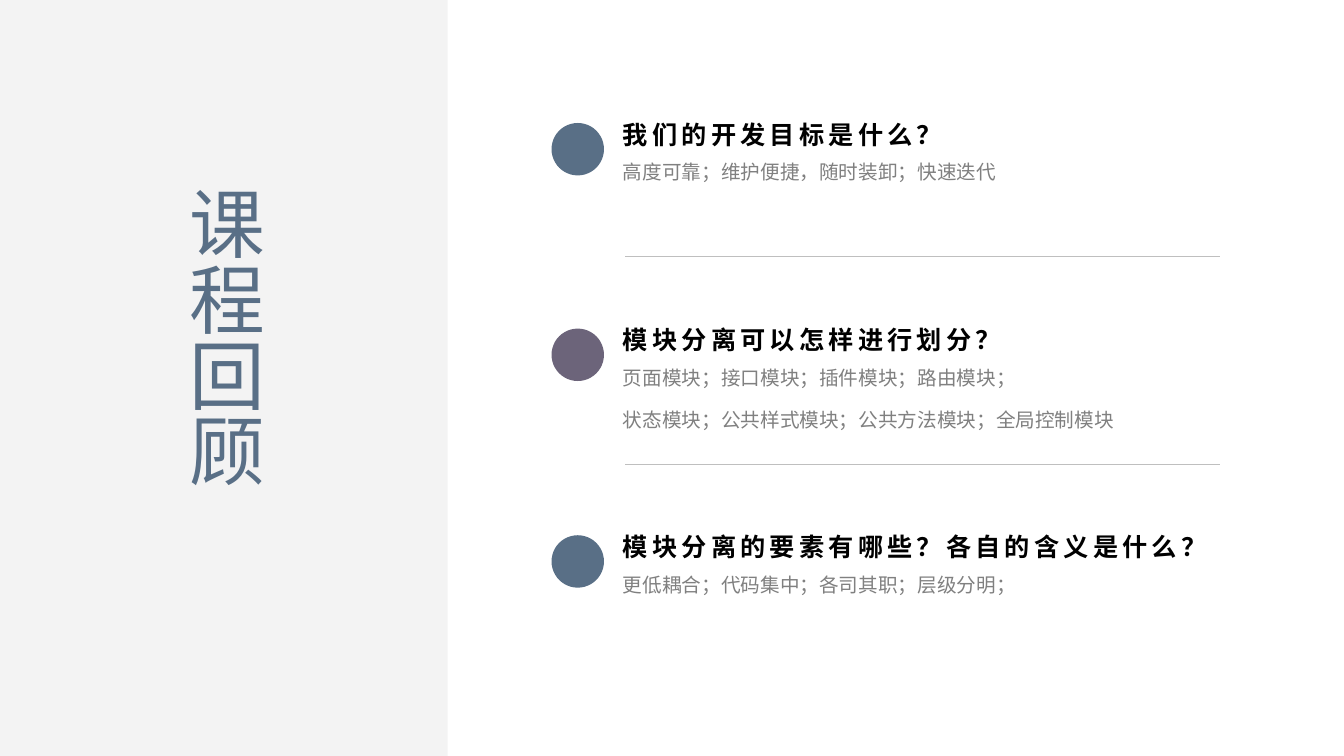
"""Build the course review slide with three questions and their answers."""
from dataclasses import dataclass
from typing import Any

from lxml import etree
from pptx import Presentation
from pptx.dml.color import RGBColor
from pptx.enum.shapes import MSO_CONNECTOR, MSO_SHAPE
from pptx.enum.text import MSO_ANCHOR, MSO_AUTO_SIZE, PP_ALIGN
from pptx.oxml.ns import qn
from pptx.util import Emu, Pt

RECTANGLE = MSO_SHAPE.RECTANGLE
OVAL = MSO_SHAPE.OVAL
STRAIGHT = MSO_CONNECTOR.STRAIGHT
TOP = MSO_ANCHOR.TOP
BOTTOM = MSO_ANCHOR.BOTTOM
LEFT = PP_ALIGN.LEFT
GROW = MSO_AUTO_SIZE.SHAPE_TO_FIT_TEXT
NO_FIT = MSO_AUTO_SIZE.NONE
PX = 9144
TITLE_ONLY_LAYOUT = 5


@dataclass(frozen=True)
class Theme:
    font: str = "Arial"
    panel: str = "F3F3F3"
    blue: str = "596F86"
    purple: str = "6C647A"
    question: str = "000000"
    answer: str = "808080"
    rule: str = "BFBFBF"
    title_size: int = 54
    question_size: int = 18
    answer_size: int = 14
    rule_width: float = 0.25


@dataclass(frozen=True)
class Box:
    left: int
    top: int
    width: int
    height: int

    def emu(self) -> list[Emu]:
        return [Emu(value * PX) for value in (self.left, self.top, self.width, self.height)]


@dataclass(frozen=True)
class TextStyle:
    size: int
    color: str
    frame: dict[str, Any]
    paragraph: dict[str, Any]
    bold: bool = False
    spacing: int = 0


@dataclass(frozen=True)
class ReviewItem:
    top: int
    color: str
    question: str
    answers: tuple[str, ...]
    answer_height: int = 80


THEME = Theme()
SIDE_MARGINS = {"margin_left": Emu(10 * PX), "margin_right": Emu(10 * PX), "word_wrap": True}
TITLE_STYLE = TextStyle(
    THEME.title_size, THEME.blue,
    {"vertical_anchor": TOP, "auto_size": GROW, "word_wrap": True},
    {"alignment": LEFT},
)
QUESTION_STYLE = TextStyle(
    THEME.question_size, THEME.question,
    {**SIDE_MARGINS, "margin_top": Emu(5 * PX), "margin_bottom": 0,
     "vertical_anchor": BOTTOM, "auto_size": NO_FIT},
    {"line_spacing": 1.1}, bold=True, spacing=3,
)
ANSWER_STYLE = TextStyle(
    THEME.answer_size, THEME.answer,
    {**SIDE_MARGINS, "margin_top": 0, "margin_bottom": Emu(5 * PX),
     "vertical_anchor": TOP, "auto_size": NO_FIT},
    {"line_spacing": 1.3, "space_after": Pt(8)},
)
ITEMS = (
    ReviewItem(122, THEME.blue, "我们的开发目标是什么？",
               ("高度可靠；维护便捷，随时装卸；快速迭代",)),
    ReviewItem(326, THEME.purple, "模块分离可以怎样进行划分？",
               ("页面模块；接口模块；插件模块；路由模块；",
                "状态模块；公共样式模块；公共方法模块；全局控制模块"), 123),
    ReviewItem(531, THEME.blue, "模块分离的要素有哪些？各自的含义是什么？",
               ("更低耦合；代码集中；各司其职；层级分明；",)),
)
RULE_TOPS = (254, 461)


def apply_format(target: Any, values: dict[str, Any]) -> None:
    for name, value in values.items():
        setattr(target, name, value)


def write_text(shape: Any, lines: tuple[str, ...], style: TextStyle) -> None:
    frame = shape.text_frame
    apply_format(frame, style.frame)
    for index, line in enumerate(lines):
        paragraph = frame.add_paragraph() if index else frame.paragraphs[0]
        apply_format(paragraph, style.paragraph)
        run = paragraph.add_run()
        run.text = line
        apply_format(run.font, {"name": THEME.font, "size": Pt(style.size), "bold": style.bold})
        run.font.color.rgb = RGBColor.from_string(style.color)
        if style.spacing:
            run.font._element.set("spc", str(style.spacing * 100))


def add_filled_shape(slide: Any, kind: Any, box: Box, color: str) -> None:
    shape = slide.shapes.add_shape(kind, *box.emu())
    shape.shadow.inherit = False
    shape.fill.solid()
    shape.fill.fore_color.rgb = RGBColor.from_string(color)
    shape.line.fill.background()


def add_text(slide: Any, box: Box, lines: tuple[str, ...], style: TextStyle) -> None:
    write_text(slide.shapes.add_textbox(*box.emu()), lines, style)


def add_rule(slide: Any, top: int) -> None:
    left, right, height = (Emu(value * PX) for value in (620, 1210, top))
    connector = slide.shapes.add_connector(STRAIGHT, left, height, right, height)
    connector.line.color.rgb = RGBColor.from_string(THEME.rule)
    connector.line.width = Pt(THEME.rule_width)
    etree.SubElement(connector.element.spPr, qn("a:effectLst"))


def add_review_item(slide: Any, item: ReviewItem) -> None:
    add_filled_shape(slide, OVAL, Box(547, item.top, 52, 52), item.color)
    add_text(slide, Box(608, item.top + 30, 607, item.answer_height), item.answers, ANSWER_STYLE)
    add_text(slide, Box(608, item.top - 13, 607, 39), (item.question,), QUESTION_STYLE)


def place_title(slide: Any, box: Box, text: str) -> None:
    title = slide.shapes.title
    apply_format(title, dict(zip(("left", "top", "width", "height"), box.emu())))
    write_text(title, (text,), TITLE_STYLE)
    title.text_frame._txBody.bodyPr.set("vert", "eaVert")
    title.element.getparent().append(title.element)


def main() -> None:
    presentation = Presentation()
    presentation.slide_width = Emu(1333 * PX)
    presentation.slide_height = Emu(750 * PX)
    slide = presentation.slides.add_slide(presentation.slide_layouts[TITLE_ONLY_LAYOUT])
    add_filled_shape(slide, RECTANGLE, Box(0, 0, 444, 750), THEME.panel)
    for item in ITEMS:
        add_review_item(slide, item)
    for top in RULE_TOPS:
        add_rule(slide, top)
    place_title(slide, Box(167, 180, 111, 327), "课程回顾")
    presentation.save("out.pptx")


if __name__ == "__main__":
    main()
